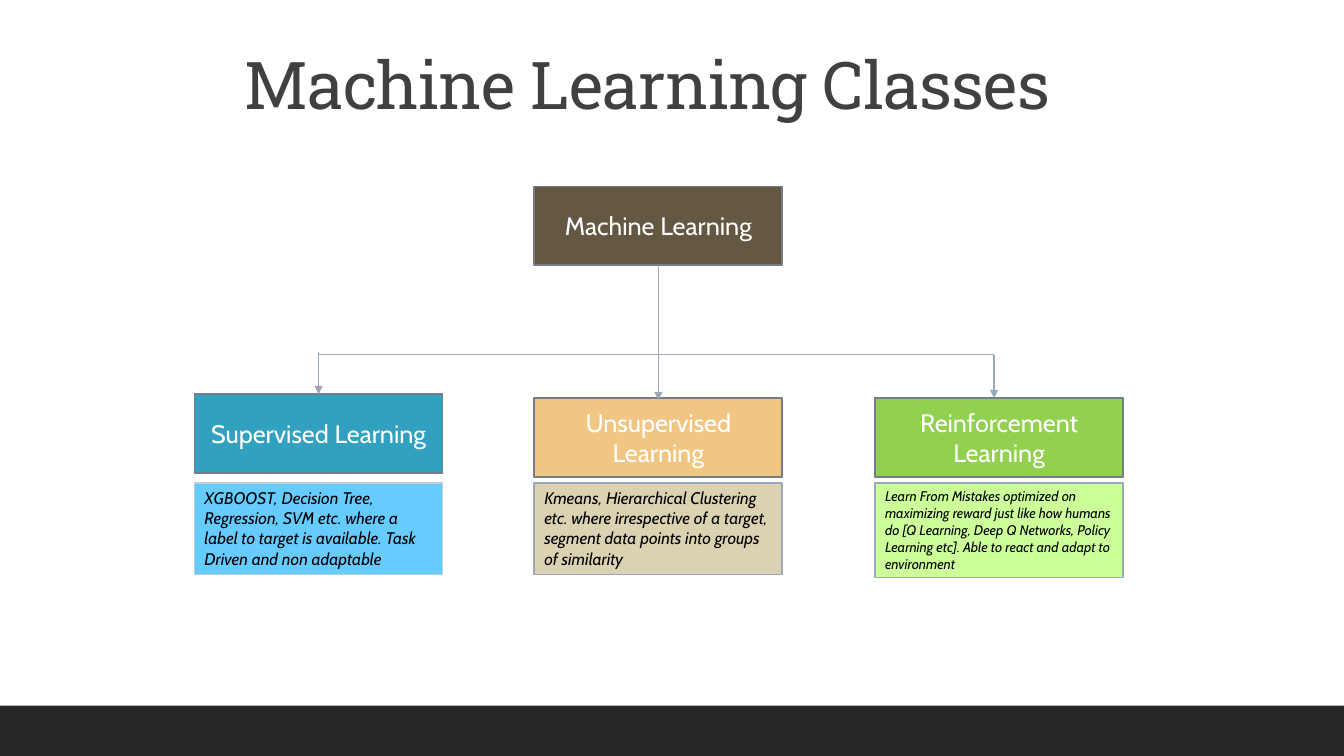
from lxml import etree
from pptx import Presentation
from pptx.dml.color import RGBColor
from pptx.enum.shapes import MSO_CONNECTOR, MSO_SHAPE
from pptx.enum.text import MSO_ANCHOR, MSO_AUTO_SIZE, PP_ALIGN
from pptx.oxml.ns import qn
from pptx.util import Inches, Pt

RECTANGLE = MSO_SHAPE.RECTANGLE
STRAIGHT = MSO_CONNECTOR.STRAIGHT
LEFT, CENTER = PP_ALIGN.LEFT, PP_ALIGN.CENTER
TOP, MIDDLE, BOTTOM = MSO_ANCHOR.TOP, MSO_ANCHOR.MIDDLE, MSO_ANCHOR.BOTTOM
FIT_SHAPE = MSO_AUTO_SIZE.SHAPE_TO_FIT_TEXT

TITLE_FONT, BODY_FONT = "Roboto Slab", "Cabin"
COLORS = {
    "footer": "262626", "title": "404040", "white": "FFFFFF", "black": "000000",
    "root": "645843", "border": "737C87", "line": "9BA8B7", "pale line": "C3CBD4",
    "blue": "31A1BF", "pale blue": "66CCFF",
    "orange": "F0C682", "sand": "DAD2B0",
    "green": "92D050", "pale green": "CCFF99",
}

BOX_WIDTH, BOX_HEIGHT = 2.46, 0.78
ROOT_LEFT, ROOT_TOP = 5.3, 1.85
NOTE_TOP = 4.79
TRUNK_X, BRANCH_Y = 6.53, 3.52

# Each class: left, top, name, fill, arrow x, arrow start and end
CLASSES = [
    (1.93, 3.91, "Supervised Learning", "blue", 3.16, 3.49, 3.91),
    (5.3, 3.95, "Unsupervised Learning", "orange", TRUNK_X, 3.54, 3.97),
    (8.68, 3.95, "Reinforcement Learning", "green", 9.86, BRANCH_Y, 3.95),
]

# Each note: left, height, fill, border, text size, text
NOTES = [
    (1.93, 0.91, "pale blue", "pale line", 12,
     "XGBOOST, Decision Tree, Regression, SVM etc. where a label to target "
     "is available. Task Driven and non adaptable"),
    (5.3, 0.91, "sand", "line", 12,
     "Kmeans, Hierarchical Clustering etc. where irrespective of a target, "
     "segment data points into groups of similarity"),
    (8.68, 0.94, "pale green", "line", 10,
     "Learn From Mistakes optimized on maximizing reward just like how humans "
     "do [Q Learning, Deep Q Networks, Policy Learning etc]. Able to react "
     "and adapt to environment"),
]


def rgb(name):
    return RGBColor.from_string(COLORS[name])


def write(shape, text, size, color, font=BODY_FONT, align=LEFT, anchor=TOP, italic=False):
    frame = shape.text_frame
    frame.word_wrap = True
    frame.vertical_anchor = anchor
    para = frame.paragraphs[0]
    para.alignment = align
    span = para.add_run()
    span.text = text
    span.font.name = font
    span.font.size = Pt(size)
    span.font.italic = italic
    span.font.color.rgb = rgb(color)
    return para, span


def add_box(page, left, top, width, height, fill, border=None):
    box = page.shapes.add_shape(
        RECTANGLE, Inches(left), Inches(top), Inches(width), Inches(height))
    box.shadow.inherit = False
    box.fill.solid()
    box.fill.fore_color.rgb = rgb(fill)
    if border:
        box.line.color.rgb = rgb(border)
        box.line.width = Pt(1.25)
    else:
        box.line.fill.background()
    return box


def add_title(page, text):
    box = page.shapes.add_textbox(Inches(2.33), Inches(0.31), Inches(11), Inches(0.97))
    para, span = write(box, text, 47, "title", font=TITLE_FONT, anchor=BOTTOM)
    para.line_spacing = 0.9
    # Tighten the letters by half a point
    span.font._element.set("spc", "-50")


def add_node(page, left, top, name, fill):
    box = add_box(page, left, top, BOX_WIDTH, BOX_HEIGHT, fill, "border")
    write(box, name, 18, "white", align=CENTER, anchor=MIDDLE)


def add_note(page, left, height, fill, border, size, text):
    box = add_box(page, left, NOTE_TOP, BOX_WIDTH, height, fill, border)
    write(box, text, size, "black", italic=True)
    box.text_frame.auto_size = FIT_SHAPE


def add_line(page, x1, y1, x2, y2, arrow=False):
    line = page.shapes.add_connector(
        STRAIGHT, Inches(x1), Inches(y1), Inches(x2), Inches(y2))
    line.line.color.rgb = rgb("line")
    line.line.width = Pt(1)
    if arrow:
        etree.SubElement(line.line._get_or_add_ln(), qn("a:tailEnd"), type="triangle")
    etree.SubElement(line._element.spPr, qn("a:effectLst"))


def main():
    deck = Presentation()
    deck.slide_width, deck.slide_height = Inches(13.33), Inches(7.5)
    page = deck.slides.add_slide(deck.slide_layouts[6])

    # Footer band and title
    add_box(page, 0, 7, 13.33, 0.5, "footer")
    add_title(page, "Machine Learning Classes")

    # Root and its classes
    add_node(page, ROOT_LEFT, ROOT_TOP, "Machine Learning", "root")
    for left, top, name, fill, *_ in CLASSES:
        add_node(page, left, top, name, fill)

    # Trunk, branches and arrows
    add_line(page, TRUNK_X, ROOT_TOP + BOX_HEIGHT, TRUNK_X, 3.55)
    for *_, x, start, end in CLASSES:
        if x != TRUNK_X:
            add_line(page, TRUNK_X, BRANCH_Y, x, BRANCH_Y)
        add_line(page, x, start, x, end, arrow=True)

    # Notes under the classes
    for note in NOTES:
        add_note(page, *note)

    deck.save("out.pptx")


if __name__ == "__main__":
    main()
